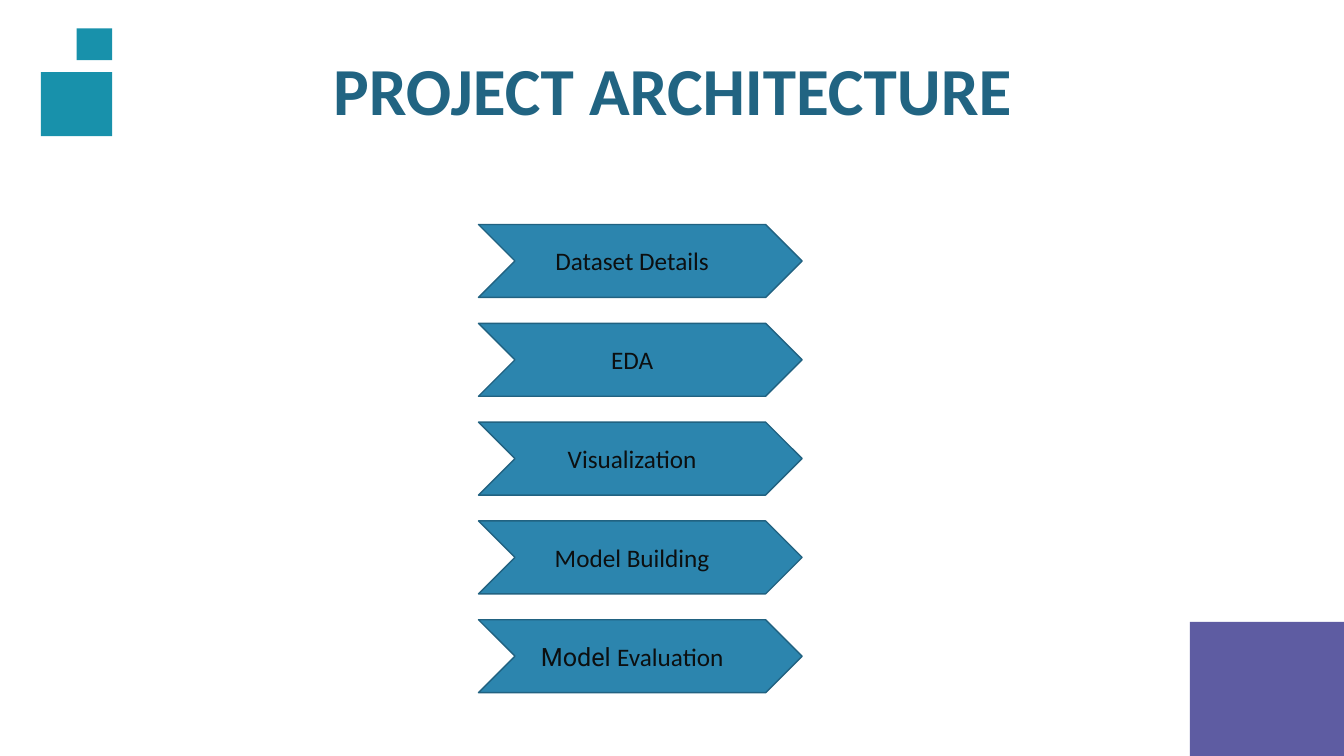
from dataclasses import dataclass

from lxml.etree import SubElement
from pptx import Presentation
from pptx.dml.color import RGBColor
from pptx.enum.shapes import MSO_SHAPE
from pptx.enum.text import MSO_ANCHOR, MSO_AUTO_SIZE, PP_ALIGN
from pptx.oxml.ns import qn
from pptx.shapes.autoshape import Shape
from pptx.slide import Slide
from pptx.util import Emu, Inches, Pt

SLIDE_WIDTH, SLIDE_HEIGHT = Inches(13.33), Inches(7.5)
TEAL, PURPLE, BLUE = "1891AB", "5E5CA2", "2C85AE"
BLUE_EDGE, TITLE_BLUE, INK = "216281", "216482", "0C0F10"


@dataclass(frozen=True)
class Area:
    """A rectangle in percent of the slide's width and height."""
    left: float
    top: float
    width: float
    height: float

    def lengths(self) -> tuple[Emu, Emu, Emu, Emu]:
        return (Emu(round(SLIDE_WIDTH * self.left / 100)),
                Emu(round(SLIDE_HEIGHT * self.top / 100)),
                Emu(round(SLIDE_WIDTH * self.width / 100)),
                Emu(round(SLIDE_HEIGHT * self.height / 100)))


@dataclass(frozen=True)
class Span:
    text: str
    font: str = "Calibri"


@dataclass(frozen=True)
class Decoration:
    area: Area
    color: str


DECORATIONS = (
    Decoration(Area(3.05, 9.55, 5.3, 8.45), TEAL),
    Decoration(Area(5.7, 3.75, 2.65, 4.2), TEAL),
    Decoration(Area(88.54, 82.25, 11.46, 17.75), PURPLE),
)
TITLE_AREA = Area(7.58, 4.93, 84.92, 14.93)
STEPS = (
    (Span("Dataset Details"),),
    (Span("EDA"),),
    (Span("Visualization"),),
    (Span("Model Building"),),
    (Span("Model ", "Roboto"), Span("Evaluation")),
)
FIRST_STEP_TOP, STEP_PITCH, LABEL_DROP = 29.7, 13.07, 2.13


def rgb(color: str) -> RGBColor:
    return RGBColor.from_string(color)


def write(shape: Shape, *spans: Span, size: float, color: str,
          bold: bool = False, line_spacing: float = 1.0) -> None:
    paragraph = shape.text_frame.paragraphs[0]
    paragraph.alignment = PP_ALIGN.CENTER
    paragraph.line_spacing = line_spacing
    for span in spans:
        run = paragraph.add_run()
        run.text = span.text
        run.font.name = span.font
        run.font.size = Pt(size)
        run.font.bold = bold
        run.font.color.rgb = rgb(color)


def add_text_shadow(shape: Shape) -> None:
    for run in shape.text_frame.paragraphs[0].runs:
        fill = run.font._element.find(qn("a:solidFill"))
        effects = fill.makeelement(qn("a:effectLst"))
        fill.addnext(effects)
        shadow = SubElement(effects, qn("a:outerShdw"), blurRad="38100",
                            dist="22860", dir="2700000", algn="tl", rotWithShape="0")
        shade = SubElement(shadow, qn("a:srgbClr"), val="000000")
        SubElement(shade, qn("a:alpha"), val="50000")


def add_block(page: Slide, kind: MSO_SHAPE, area: Area, color: str,
              edge: str | None = None) -> None:
    block = page.shapes.add_shape(kind, *area.lengths())
    block.shadow.inherit = False
    block.fill.solid()
    block.fill.fore_color.rgb = rgb(color)
    if edge:
        block.line.color.rgb = rgb(edge)
        block.line.width = Pt(1)
    else:
        block.line.fill.background()


def add_title(page: Slide) -> None:
    title = page.shapes.title
    title.left, title.top, title.width, title.height = TITLE_AREA.lengths()
    title.text_frame.vertical_anchor = MSO_ANCHOR.MIDDLE
    title.text_frame.auto_size = MSO_AUTO_SIZE.NONE
    write(title, Span("PROJECT ARCHITECTURE"), size=48, color=TITLE_BLUE,
          bold=True, line_spacing=0.9)
    add_text_shadow(title)


def add_step(page: Slide, top: float, spans: tuple[Span, ...]) -> None:
    add_block(page, MSO_SHAPE.CHEVRON, Area(35.6, top, 24.08, 9.65), BLUE, BLUE_EDGE)
    label = page.shapes.add_textbox(
        *Area(38.26, top + LABEL_DROP, 17.55, 5.33).lengths())
    label.text_frame.word_wrap = True
    write(label, *spans, size=18, color=INK)


def main() -> None:
    deck = Presentation()
    deck.slide_width, deck.slide_height = SLIDE_WIDTH, SLIDE_HEIGHT
    page = deck.slides.add_slide(deck.slide_layouts.get_by_name("Title Only"))
    for decoration in DECORATIONS:
        add_block(page, MSO_SHAPE.RECTANGLE, decoration.area, decoration.color)
    add_title(page)
    for row, spans in enumerate(STEPS):
        add_step(page, FIRST_STEP_TOP + row * STEP_PITCH, spans)
    deck.save("out.pptx")


if __name__ == "__main__":
    main()
